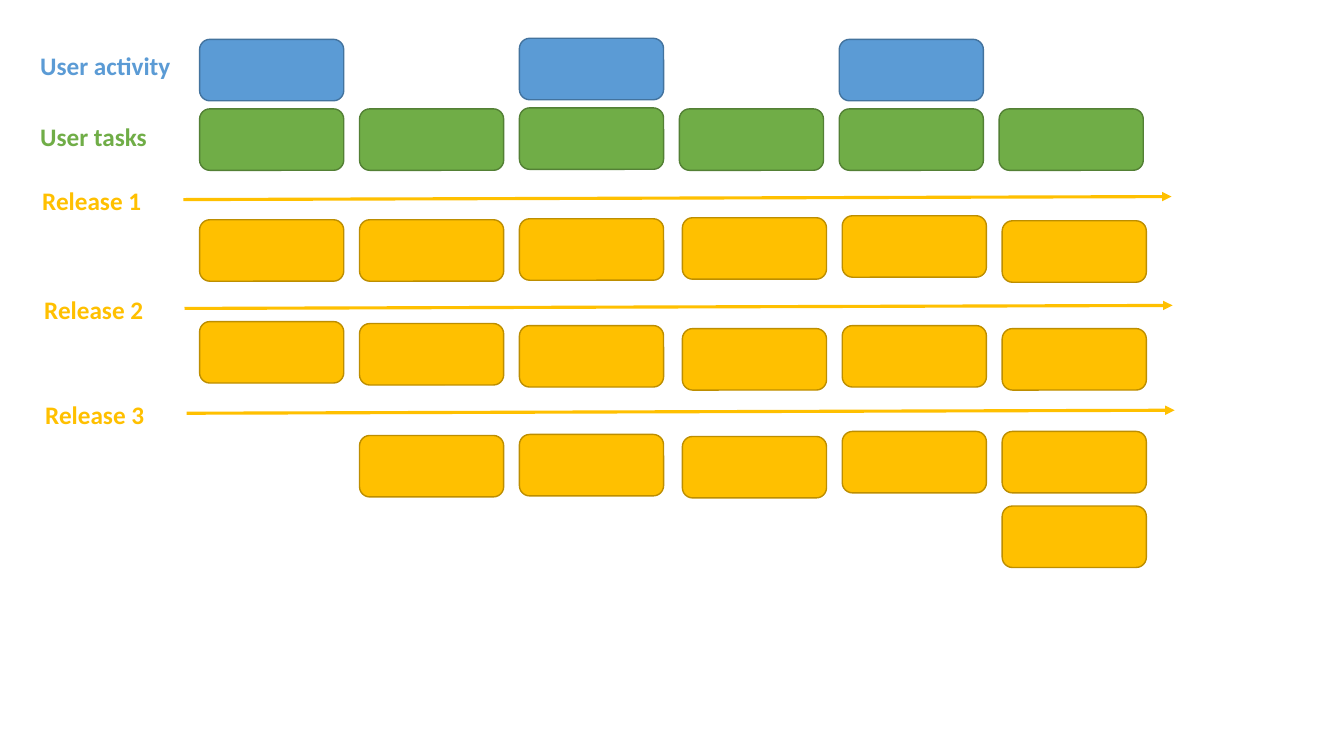
from lxml import etree
from pptx import Presentation
from pptx.dml.color import RGBColor
from pptx.enum.shapes import MSO_CONNECTOR, MSO_SHAPE
from pptx.enum.text import MSO_AUTO_SIZE
from pptx.oxml.ns import qn
from pptx.util import Inches, Pt

ROUNDED = MSO_SHAPE.ROUNDED_RECTANGLE
STRAIGHT = MSO_CONNECTOR.STRAIGHT
FIT_TEXT = MSO_AUTO_SIZE.SHAPE_TO_FIT_TEXT

BLUE, BLUE_EDGE = "5B9BD5", "43739E"
GREEN, GREEN_EDGE = "70AD47", "538035"
GOLD, GOLD_EDGE = "FFC000", "BD8E00"

# Six card columns; release cards sit slightly right from the fourth column on
FIRST_COLUMN, LAST_COLUMN = 1.98, 9.91
COLUMN_PITCH = (LAST_COLUMN - FIRST_COLUMN) / 5
CARD_WIDTH, CARD_HEIGHT = 1.43, 0.61
RELEASE_SHIFT = 0.03
ARROW_LENGTH, ARROW_RISE = 9.8, 0.03
LABEL_HEIGHT = 0.4


def color(hex_string):
    """Turn a hex string into a colour."""
    return RGBColor.from_string(hex_string)


def add_label(text, left, top, width, hue):
    """Add a bold row label."""
    label = slide.shapes.add_textbox(
        Inches(left), Inches(top), Inches(width), Inches(LABEL_HEIGHT))
    frame = label.text_frame
    frame.word_wrap = False
    frame.auto_size = FIT_TEXT
    run = frame.paragraphs[0].add_run()
    run.text = text
    run.font.name = "Calibri"
    run.font.size = Pt(18)
    run.font.bold = True
    run.font.color.rgb = color(hue)


deck = Presentation()
deck.slide_width, deck.slide_height = Inches(13.33), Inches(7.5)
slide = deck.slides.add_slide(deck.slide_layouts[6])

# Each row: fill, edge, shift of the later columns, and card top by column
card_rows = [
    (BLUE, BLUE_EDGE, 0, {0: 0.39, 2: 0.38, 4: 0.39}),
    (GREEN, GREEN_EDGE, 0,
     {0: 1.08, 1: 1.08, 2: 1.07, 3: 1.08, 4: 1.08, 5: 1.08}),
    (GOLD, GOLD_EDGE, RELEASE_SHIFT,
     {0: 2.18, 1: 2.18, 2: 2.17, 3: 2.16, 4: 2.14, 5: 2.19}),
    (GOLD, GOLD_EDGE, RELEASE_SHIFT,
     {0: 3.19, 1: 3.21, 2: 3.23, 3: 3.26, 4: 3.23, 5: 3.26}),
    (GOLD, GOLD_EDGE, RELEASE_SHIFT,
     {1: 4.32, 2: 4.31, 3: 4.33, 4: 4.28, 5: 4.28}),
    (GOLD, GOLD_EDGE, RELEASE_SHIFT, {5: 5.02}),
]
for fill, edge, shift, tops in card_rows:
    for column, top in tops.items():
        left = FIRST_COLUMN + column * COLUMN_PITCH
        if column >= 3:
            left += shift
        card = slide.shapes.add_shape(
            ROUNDED, Inches(left), Inches(top),
            Inches(CARD_WIDTH), Inches(CARD_HEIGHT))
        card.shadow.inherit = False
        card.fill.solid()
        card.fill.fore_color.rgb = color(fill)
        card.line.color.rgb = color(edge)
        card.line.width = Pt(1)

add_label("User activity", 0.3, 0.45, 1.51, BLUE)
add_label("User tasks", 0.3, 1.15, 1.27, GREEN)

# Each release: label left, arrow start and arrow height
releases = [(0.32, 1.82, 1.98), (0.34, 1.83, 3.06), (0.35, 1.85, 4.1)]
for number, (label_left, start, height) in enumerate(releases, 1):
    add_label(f"Release {number}", label_left, height - 0.19, 1.19, GOLD)
    arrow = slide.shapes.add_connector(
        STRAIGHT, Inches(start), Inches(height),
        Inches(start + ARROW_LENGTH), Inches(height - ARROW_RISE))
    arrow.line.color.rgb = color(GOLD)
    arrow.line.width = Pt(2.25)
    properties = arrow.element.spPr
    outline = properties.find(qn("a:ln"))
    etree.SubElement(outline, qn("a:tailEnd"), type="triangle")
    etree.SubElement(properties, qn("a:effectLst"))

deck.save("out.pptx")
